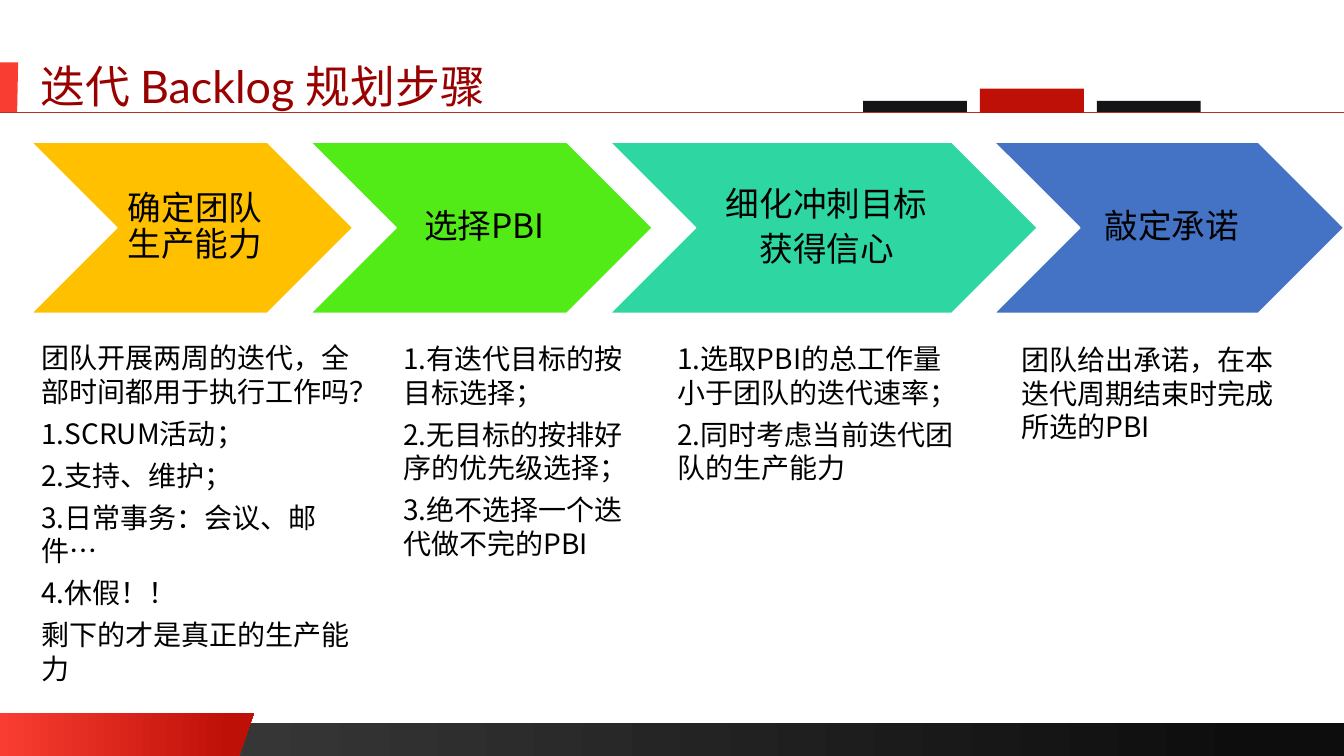
from dataclasses import dataclass
from lxml.etree import SubElement
from pptx import Presentation
from pptx.dml.color import RGBColor as RGB
from pptx.enum.shapes import MSO_CONNECTOR as LINK, MSO_SHAPE as SHAPE
from pptx.enum.text import MSO_ANCHOR as ANCHOR, MSO_AUTO_SIZE as AUTO, PP_ALIGN as ALIGN
from pptx.oxml.ns import qn
from pptx.util import Inches, Pt


@dataclass(frozen=True)
class Theme:
    title: str = "990000"
    text: str = "000000"
    white: str = "FFFFFF"
    rule: str = "B82E24"
    bright: str = "F93D32"
    deep: str = "BE1007"
    dark: str = "141316"
    band: tuple = ("404040", "0D0D0D")
    steps: tuple = ("FFC000", "53EB17", "2ED7A1", "4472C4")
    latin: str = "Lato"
    han: str = "Noto Sans CJK SC"
    title_size: int = 32
    step_size: int = 24
    body_size: int = 20


theme = Theme()


def write(frame, text, size=theme.body_size, color=theme.text, font=theme.han,
          align=ALIGN.LEFT, anchor=ANCHOR.TOP, line=1.0, after=6,
          pads=(0.1, 0.05, 0.1, 0.05), fit=AUTO.SHAPE_TO_FIT_TEXT):
    """Fill a text frame with one paragraph per line of text."""
    frame.word_wrap, frame.auto_size, frame.vertical_anchor = True, fit, anchor
    (frame.margin_left, frame.margin_top,
     frame.margin_right, frame.margin_bottom) = map(Inches, pads)
    for i, words in enumerate(text.split("\n")):
        para = frame.add_paragraph() if i else frame.paragraphs[0]
        para.alignment, para.line_spacing, para.space_after = align, line, Pt(after)
        run = para.add_run()
        run.text = words
        run.font.size, run.font.name = Pt(size), font
        run.font.color.rgb = RGB.from_string(color)
        SubElement(run.font._element, qn("a:ea"), typeface=theme.han)


def paint(shape, *colors, end=1.0, edge=None):
    """Fill with one colour, or with a left-to-right gradient of two."""
    shape.shadow.inherit = False
    if len(colors) == 1:
        shape.fill.solid()
        shape.fill.fore_color.rgb = RGB.from_string(colors[0])
    else:
        shape.fill.gradient()
        shape.fill.gradient_angle = 0
        for stop, color, place in zip(shape.fill.gradient_stops, colors, (0, end)):
            stop.color.rgb, stop.position = RGB.from_string(color), place
    if edge:
        shape.line.color.rgb, shape.line.width = RGB.from_string(edge), Pt(1)
    else:
        shape.line.fill.background()


deck = Presentation()
deck.slide_width, deck.slide_height = Inches(13.33), Inches(7.5)
slide = deck.slides.add_slide(deck.slide_layouts[6])
shapes = slide.shapes

# Footer band and slanted red tabs
band = shapes.add_shape(SHAPE.RECTANGLE, 0, Inches(7.17), Inches(13.33), Inches(0.33))
paint(band, *theme.band, end=0.94)
tabs = [
    (7.07, 7.5, 2.52, 2.37, (theme.bright, theme.deep)),
    (0.62, 1.12, 0.18, 0.17, (theme.bright,)),
]
for top, base, wide, slim, colors in tabs:
    pen = shapes.build_freeform(0, Inches(top))
    pen.add_line_segments([(Inches(x), Inches(y)) for x, y in
                           ((wide, top), (slim, base), (0, base))])
    paint(pen.convert_to_shape(), *colors, end=0.91)

# Title
head = shapes.add_textbox(Inches(0.31), Inches(0.49), Inches(11.5), Inches(0.68))
write(head.text_frame, "迭代 Backlog 规划步骤", size=theme.title_size,
      color=theme.title, font=theme.latin, line=1.1, after=0,
      pads=(0.09, 0.04, 0.09, 0.04))

# Step arrows
steps = [
    (0.31, 3.19, "确定团队生产能力"),
    (3.08, 3.39, "选择PBI"),
    (6.05, 4.24, "细化冲刺目标\n获得信心"),
    (9.86, 3.47, "敲定承诺"),
]
for (left, width, label), color in zip(steps, theme.steps):
    step = shapes.add_shape(SHAPE.CHEVRON, Inches(left), Inches(1.41),
                            Inches(width), Inches(1.7))
    paint(step, color, edge=theme.white)
    write(step.text_frame, label, size=theme.step_size, align=ALIGN.CENTER,
          anchor=ANCHOR.MIDDLE, line=0.9, pads=(0.1, 0.04, 0.04, 0.04), fit=AUTO.NONE)

# Notes under each step
notes = [
    (0.31, 3.33, 3.47, 3.21, "团队开展两周的迭代，全部时间都用于执行工作吗？\n"
     "1.SCRUM活动；\n2.支持、维护；\n3.日常事务：会议、邮件…\n"
     "4.休假！！\n剩下的才是真正的生产能力"),
    (3.9, 3.34, 2.61, 2.29, "1.有迭代目标的按目标选择；\n"
     "2.无目标的按排好序的优先级选择；\n3.绝不选择一个迭代做不完的PBI"),
    (6.62, 3.34, 2.98, 1.53, "1.选取PBI的总工作量小于团队的迭代速率；\n"
     "2.同时考虑当前迭代团队的生产能力"),
    (10.03, 3.35, 2.74, 1.11, "团队给出承诺，在本迭代周期结束时完成所选的PBI"),
]
for *place, text in notes:
    write(shapes.add_textbox(*map(Inches, place)).text_frame, text)

# Rule and blocks under the title
rule = shapes.add_connector(LINK.STRAIGHT, 0, Inches(1.11), Inches(13.33), Inches(1.11))
rule.line.color.rgb, rule.line.width = RGB.from_string(theme.rule), Pt(0.5)
SubElement(rule._element.spPr, qn("a:effectLst"))
blocks = [(1.0, 0.11, theme.dark), (0.88, 0.24, theme.deep), (1.0, 0.11, theme.dark)]
for i, (top, height, color) in enumerate(blocks):
    block = shapes.add_shape(SHAPE.RECTANGLE, Inches(8.56 + 1.16 * i), Inches(top),
                             Inches(1.03), Inches(height))
    paint(block, color)

deck.save("out.pptx")
